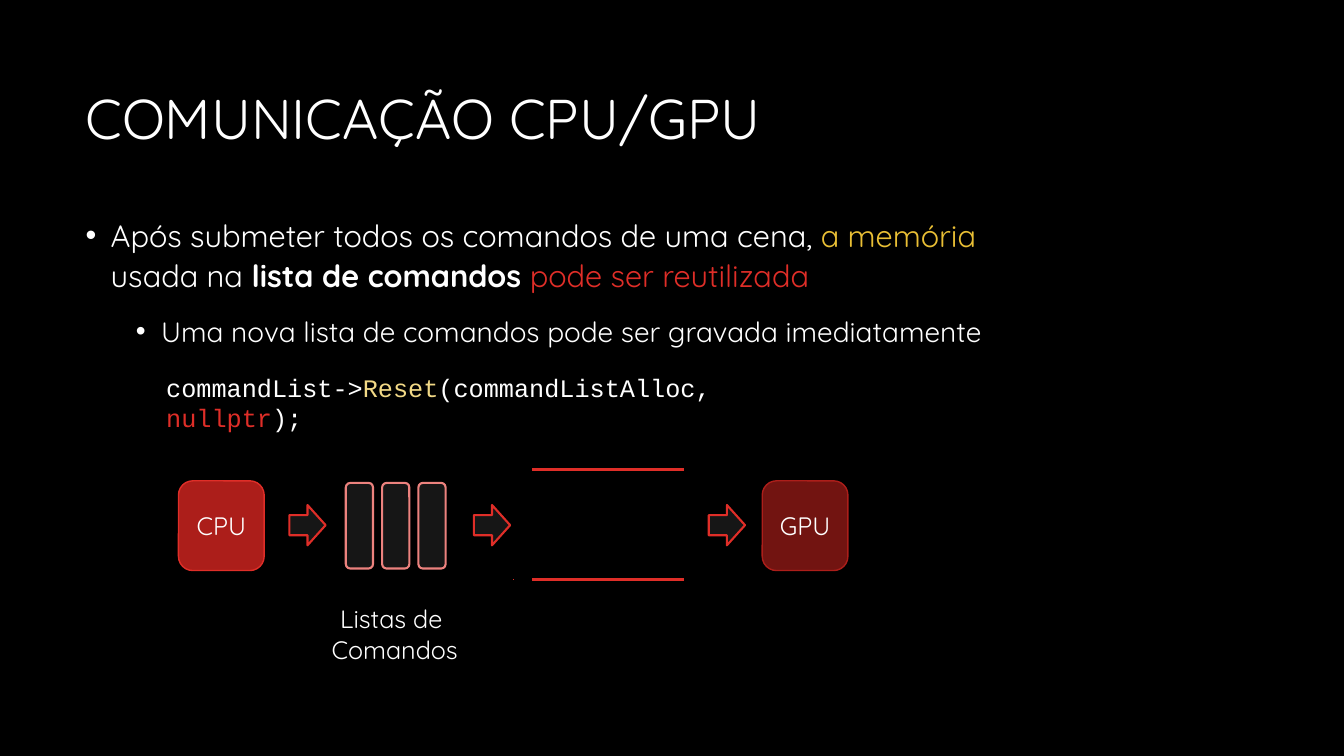
"""Builds the slide on communication between CPU and GPU."""
import pptx
import pptx.dml.color
import pptx.enum.shapes
import pptx.enum.text
import pptx.oxml.ns
import pptx.util
from lxml import etree

PX = 9144
COLORS = {
    "black": "000000", "white": "FFFFFF", "dark": "161616",
    "red": "DF2E28", "deep_red": "AC1E1A", "wine": "721411", "pink": "EC827E",
    "gold": "E9BF35", "pale_gold": "F2D986",
}
SHAPES = pptx.enum.shapes.MSO_SHAPE
ALIGN = pptx.enum.text.PP_ALIGN
ANCHOR = pptx.enum.text.MSO_ANCHOR


def color(name):
    return pptx.dml.color.RGBColor.from_string(COLORS[name])


def write(paragraph, text, size=18, font="Quicksand", ink="white", bold=False):
    for index, line in enumerate(text.split("\n")):
        if index:
            paragraph.add_line_break()
        if line:
            run = paragraph.add_run()
            run.text = line
            run.font.size = pptx.util.Pt(size)
            run.font.name = font
            run.font.bold = bold
            run.font.color.rgb = color(ink)


class SlideBuilder:
    def __init__(self, slide):
        self.slide = slide
        background = slide.background.fill
        background.solid()
        background.fore_color.rgb = color("black")

    def text_box(self, left, top, width, height, wrap=True, anchor=ANCHOR.TOP):
        box = self.slide.shapes.add_textbox(*(PX * n for n in (left, top, width, height)))
        box.text_frame.word_wrap = wrap
        box.text_frame.vertical_anchor = anchor
        return box.text_frame

    def bullet(self, paragraph, indent, before, after=0):
        paragraph.line_spacing = 1.1
        paragraph.space_before = pptx.util.Pt(before)
        paragraph.space_after = pptx.util.Pt(after)
        properties = paragraph._p.get_or_add_pPr()
        properties.set("marL", str(indent * PX))
        properties.set("indent", str(-25 * PX))
        qn = pptx.oxml.ns.qn
        etree.SubElement(properties, qn("a:buFont")).set("typeface", "Arial")
        etree.SubElement(properties, qn("a:buChar")).set("char", "•")

    def shape(self, kind, left, top, width, height, fill, line, weight, rotation=0):
        shape = self.slide.shapes.add_shape(kind, *(PX * n for n in (left, top, width, height)))
        shape.shadow.inherit = False
        shape.rotation = rotation
        shape.fill.solid()
        shape.fill.fore_color.rgb = color(fill)
        shape.line.color.rgb = color(line)
        shape.line.width = pptx.util.Pt(weight)
        return shape

    def processor(self, label, left, fill, line):
        frame = self.shape(SHAPES.ROUNDED_RECTANGLE, left, 477, 85, 89, fill, line, 1).text_frame
        frame.vertical_anchor = ANCHOR.MIDDLE
        frame.paragraphs[0].alignment = ALIGN.CENTER
        write(frame.paragraphs[0], label)

    def rule(self, left, right, y, weight):
        line = self.slide.shapes.add_connector(
            pptx.enum.shapes.MSO_CONNECTOR.STRAIGHT, left * PX, y * PX, right * PX, y * PX)
        line.line.color.rgb = color("red")
        line.line.width = pptx.util.Pt(weight)
        etree.SubElement(line._element.spPr, pptx.oxml.ns.qn("a:effectLst"))


def main():
    deck = pptx.Presentation()
    deck.slide_width, deck.slide_height = 1333 * PX, 750 * PX
    builder = SlideBuilder(deck.slides.add_slide(deck.slide_layouts[6]))

    title = builder.text_box(75, 50, 1183, 141, anchor=ANCHOR.MIDDLE).paragraphs[0]
    title.line_spacing = 0.9
    write(title, "COMUNICAÇÃO CPU/GPU", size=40)

    body = builder.text_box(75, 206, 1183, 469)
    reuse = body.paragraphs[0]
    builder.bullet(reuse, 25, before=10)
    write(reuse, "Após submeter todos os comandos de uma cena, ", size=22)
    write(reuse, "a memória \n", size=22, ink="gold")
    write(reuse, "usada na ", size=22)
    write(reuse, "lista de comandos ", size=22, bold=True)
    write(reuse, "pode ser reutilizada", size=22, ink="red")
    recording = body.add_paragraph()
    recording.level = 1
    builder.bullet(recording, 75, before=12, after=12)
    write(recording, "Uma nova lista de comandos pode ser gravada imediatamente", size=20)

    code = builder.text_box(155, 364, 657, 40).paragraphs[0]
    for token, ink in (("commandList->", "white"), ("Reset", "pale_gold"),
                       ("(commandListAlloc, ", "white"), ("nullptr", "red"), (");", "white")):
        write(code, token, font="Courier New", ink=ink)

    builder.processor("GPU", 756, "wine", "deep_red")
    builder.processor("CPU", 177, "deep_red", "red")

    lists_label = builder.text_box(313, 594, 157, 71, wrap=False).paragraphs[0]
    lists_label.alignment = ALIGN.CENTER
    write(lists_label, "Listas de \nComandos")

    for left, right, y, weight in ((528, 678, 575, 2.25), (528, 678, 466, 2.25),
                                   (509, 510, 575, 0.75)):
        builder.rule(left, right, y, weight)
    for index in range(3):
        builder.shape(SHAPES.ROUNDED_RECTANGLE, 314 + 36 * index, 508, 85, 27,
                      "dark", "pink", 1.5, rotation=270)
    for left in (285, 468, 701):
        builder.shape(SHAPES.DOWN_ARROW, left, 503, 40, 36, "dark", "red", 1.5, rotation=270)

    deck.save("out.pptx")


if __name__ == "__main__":
    main()
